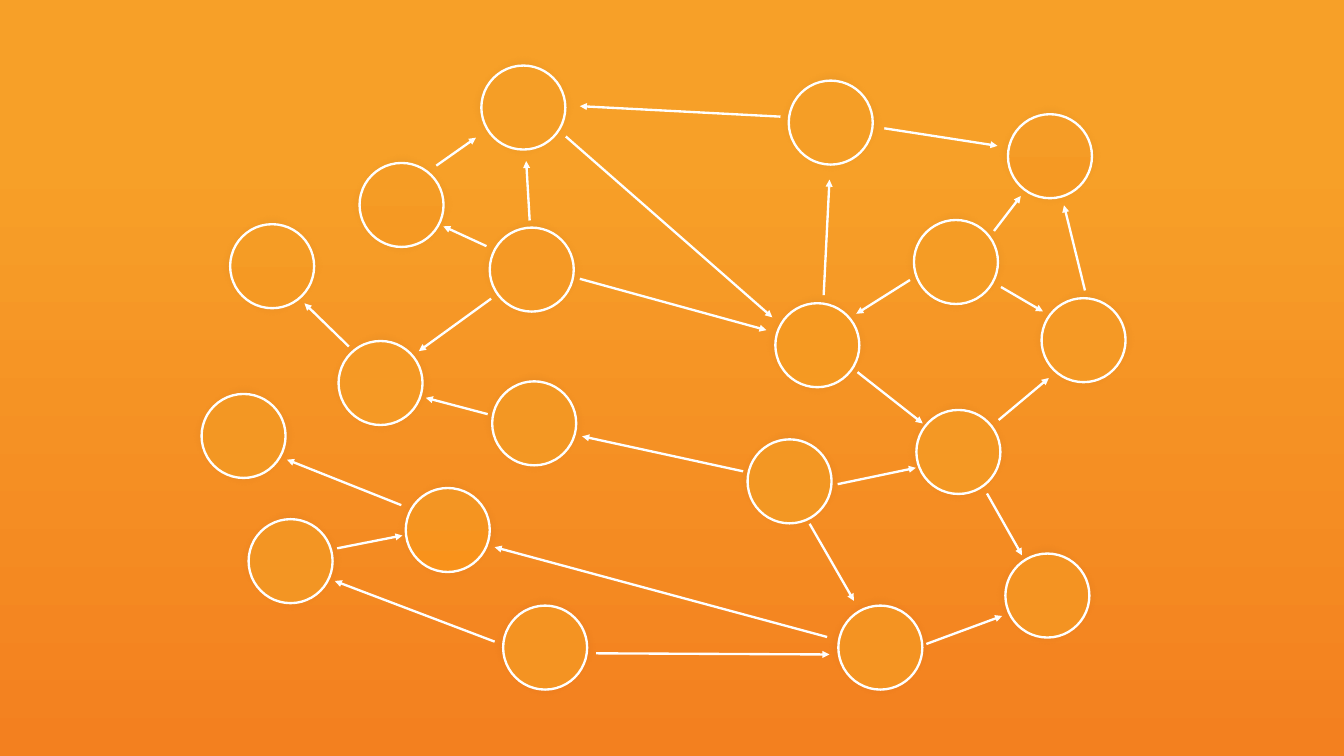
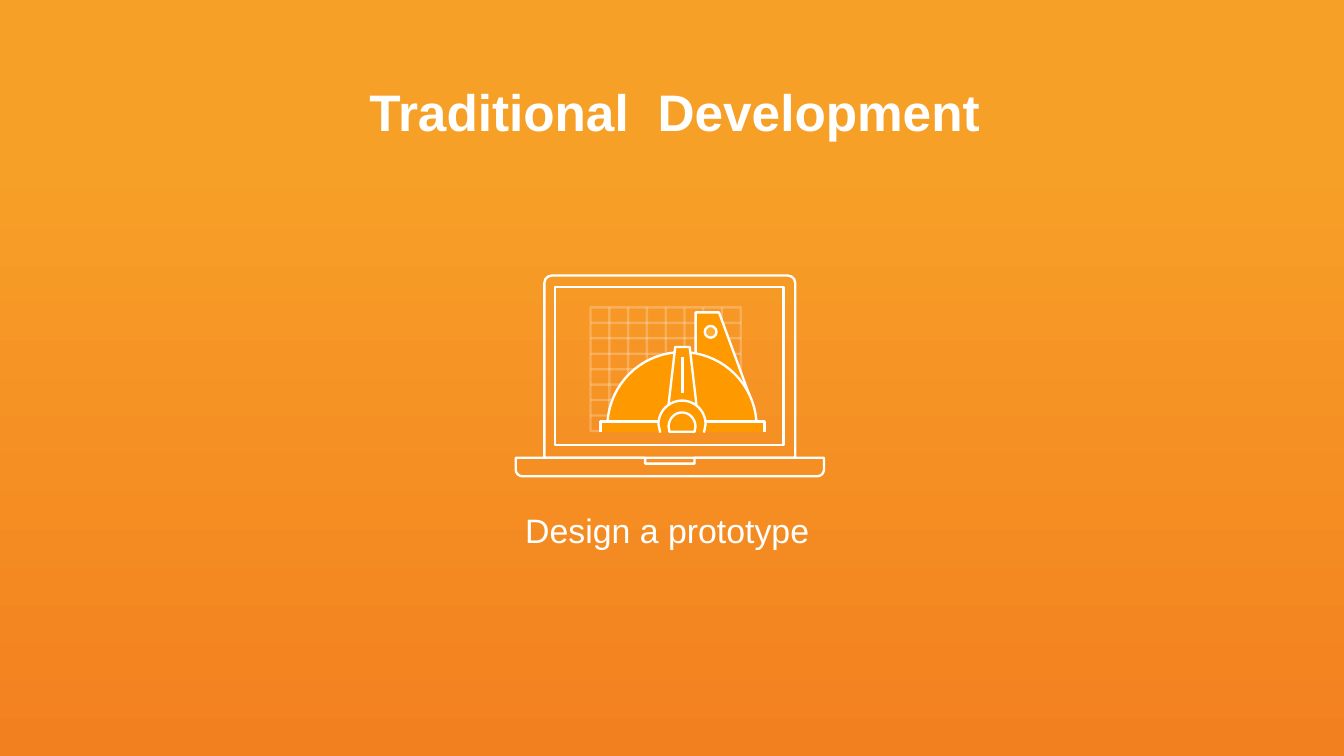
from math import cos, radians, sin

from lxml import etree
from pptx import Presentation
from pptx.dml.color import RGBColor
from pptx.enum.shapes import MSO_CONNECTOR, MSO_SHAPE
from pptx.enum.text import MSO_AUTO_SIZE, PP_ALIGN
from pptx.oxml.ns import qn
from pptx.util import Pt

STRAIGHT = MSO_CONNECTOR.STRAIGHT
OVAL = MSO_SHAPE.OVAL
RECTANGLE = MSO_SHAPE.RECTANGLE
TRAPEZOID = MSO_SHAPE.TRAPEZOID
ROUND_TOP = MSO_SHAPE.ROUND_2_SAME_RECTANGLE
FIT_SHAPE = MSO_AUTO_SIZE.SHAPE_TO_FIT_TEXT
LEFT, CENTER = PP_ALIGN.LEFT, PP_ALIGN.CENTER

COLORS = {"white": "FFFFFF", "halo": "000000", "helmet": "FF9900",
          "sky": "F7A028", "ground": "F3801F"}
BACKGROUND = [(2, COLORS["sky"]), (20, COLORS["sky"]), (100, COLORS["ground"])]
TITLE = {"size": Pt(44), "bold": True}
CAPTION = {"size": Pt(29), "bold": False}
LINE_WIDTH = 2
GRID_ALPHA = 24
NODE_SIZE, HALO_SIZE = 72, 98.6
HALO_OFFSET = (-13.3, -14.4)

NODES = [
    (412.6, 56.2, "F59E26", "F59C25"),
    (308.2, 139.7, "F59C25", "F59923"),
    (197.3, 192.2, "F59C25", "F59923"),
    (419.8, 195.1, "F59925", "F49824"),
    (290.2, 292.3, "F59925", "F49824"),
    (421.9, 326.9, "F39723", "F49623"),
    (172.8, 337.7, "F39723", "F49623"),
    (213.1, 445, "F39523", "F49322"),
    (347.8, 418.3, "F39523", "F9921B"),
    (431.3, 519.1, "F49322", "F49221"),
    (676.1, 69.1, "F59E26", "F59C25"),
    (864, 97.9, "F59C26", "F59923"),
    (783.4, 188.6, "F59C25", "F49B24"),
    (892.8, 255.6, "F59925", "F39723"),
    (664.6, 259.9, "F59922", "F49824"),
    (785.5, 351.4, "F49824", "F49623"),
    (640.8, 376.6, "F39723", "F39523"),
    (861.8, 474.5, "F49322", "F49221"),
    (718.6, 519.1, "F49322", "F49324"),
]

ARROWS = [
    (497, 239, 657, 283), (669, 100, 497, 91), (706, 253, 711, 154),
    (758, 110, 855, 125), (852, 198, 875, 168), (780, 240, 734, 269),
    (735, 319, 791, 363), (858, 246, 894, 267), (856, 360, 899, 324),
    (930, 249, 912, 176), (846, 423, 876, 476), (485, 117, 662, 272),
    (637, 404, 499, 374), (718, 415, 785, 401), (694, 449, 732, 515),
    (794, 552, 859, 528), (511, 560, 711, 561), (424, 550, 287, 498),
    (709, 546, 424, 469), (344, 433, 246, 394), (418, 355, 365, 341),
    (299, 297, 261, 260), (417, 211, 380, 194), (421, 256, 359, 301),
    (454, 189, 451, 138), (374, 142, 408, 118), (289, 470, 345, 459),
]


def arc(center_x, center_y, radius_x, radius_y, start, end, steps=36):
    angles = [radians(start + (end - start) * step / steps) for step in range(steps + 1)]
    return [(center_x + radius_x * cos(angle), center_y + radius_y * sin(angle))
            for angle in angles]


def set_gradient(fill, element, stops):
    fill.gradient()
    fill.gradient_angle = 270
    stop_list = next(element.iter(qn("a:gsLst")))
    for stop in list(stop_list):
        stop_list.remove(stop)
    for position, color in stops:
        stop = etree.SubElement(stop_list, qn("a:gs"), pos=str(position * 1000))
        etree.SubElement(stop, qn("a:srgbClr"), val=color)


def set_alpha(parent, percent):
    color = next(parent.iter(qn("a:srgbClr")))
    etree.SubElement(color, qn("a:alpha"), val=str(percent * 1000))


class Deck:
    def __init__(self):
        self.presentation = Presentation()
        self.presentation.slide_width = Pt(1152)
        self.presentation.slide_height = Pt(648)
        master = self.presentation.slide_master
        set_gradient(master.background.fill, master.element, BACKGROUND)
        self.slide = None

    def add_slide(self):
        self.slide = self.presentation.slides.add_slide(self.presentation.slide_layouts[6])

    def outline(self, item, alpha=None):
        item.line.color.rgb = RGBColor.from_string(COLORS["white"])
        item.line.width = Pt(LINE_WIDTH)
        if alpha:
            set_alpha(next(item.element.iter(qn("a:ln"))), alpha)

    def paint(self, shape, color=None, alpha=None):
        if color is None:
            shape.fill.background()
            return
        shape.fill.solid()
        shape.fill.fore_color.rgb = RGBColor.from_string(COLORS[color])
        if alpha:
            set_alpha(shape.element.spPr.find(qn("a:solidFill")), alpha)

    def shape(self, kind, left, top, width, height, color=None, alpha=None, adjustment=None):
        shape = self.slide.shapes.add_shape(kind, Pt(left), Pt(top), Pt(width), Pt(height))
        if adjustment is not None:
            shape.adjustments[0] = adjustment
        self.paint(shape, color, alpha)
        self.outline(shape)
        shape.shadow.inherit = False
        return shape

    def node(self, left, top, upper, lower):
        offset_x, offset_y = HALO_OFFSET
        halo = self.shape(OVAL, left + offset_x, top + offset_y,
                          HALO_SIZE, HALO_SIZE, "halo", 10)
        halo.line.fill.background()
        effects = halo.element.spPr.find(qn("a:effectLst"))
        etree.SubElement(effects, qn("a:softEdge"), rad=str(Pt(12.5)))
        circle = self.shape(OVAL, left, top, NODE_SIZE, NODE_SIZE)
        set_gradient(circle.fill, circle.element, [(2, upper), (100, lower)])

    def line(self, start_x, start_y, end_x, end_y, alpha=None, arrow=False):
        connector = self.slide.shapes.add_connector(
            STRAIGHT, Pt(start_x), Pt(start_y), Pt(end_x), Pt(end_y))
        self.outline(connector, alpha)
        if arrow:
            line = next(connector.element.iter(qn("a:ln")))
            etree.SubElement(line, qn("a:tailEnd"), type="triangle")
        etree.SubElement(connector.element.spPr, qn("a:effectLst"))

    def outline_path(self, points, color=None, alpha=None, close=False):
        vertices = [(Pt(x), Pt(y)) for x, y in points]
        builder = self.slide.shapes.build_freeform(*vertices[0], scale=1.0)
        builder.add_line_segments(vertices[1:], close=close)
        shape = builder.convert_to_shape()
        self.paint(shape, color)
        self.outline(shape, alpha)
        shape.shadow.inherit = False

    def text(self, words, left, top, width, height, style, alignment=LEFT, wrap=False):
        box = self.slide.shapes.add_textbox(Pt(left), Pt(top), Pt(width), Pt(height))
        frame = box.text_frame
        frame.word_wrap = wrap
        frame.auto_size = FIT_SHAPE
        paragraph = frame.paragraphs[0]
        paragraph.alignment = alignment
        run = paragraph.add_run()
        run.text = words
        for name, value in {"name": "Arial", **style}.items():
            setattr(run.font, name, value)
        run.font.color.rgb = RGBColor.from_string(COLORS["white"])


def draw_network(deck):
    deck.add_slide()
    for node in NODES:
        deck.node(*node)
    for arrow in ARROWS:
        deck.line(*arrow, arrow=True)


def draw_laptop(deck):
    left, right, top, bottom, radius = 442.1, 706.3, 392.4, 408.2, 5.8
    notch_left, notch_right, notch_bottom = 553, 595.4, 397.4
    deck.shape(ROUND_TOP, 466.6, 236.2, 215, 156.2, adjustment=0.04)
    deck.shape(RECTANGLE, 475.9, 246.2, 195.8, 135.4)
    deck.outline_path(
        [(notch_right, top), (notch_right, notch_bottom),
         (notch_left, notch_bottom), (notch_left, top), (left, top)]
        + arc(left + radius, bottom - radius, radius, radius, 180, 90, 8)
        + arc(right - radius, bottom - radius, radius, radius, 90, 0, 8)
        + [(right, top)], close=True)
    deck.line(notch_left, top, notch_right, top)


def draw_grid(deck):
    left, top, right, bottom = 506.2, 263.5, 635, 369.4
    column_step, row_step = (right - left) / 8, (bottom - top) / 8
    row_ends = [right, right, right, 565.9, 545.8, 531.4]
    column_ends = [335.5, 325.4, 312.5, 311, 312.5, 324]
    deck.outline_path([(513.4, bottom), (left, bottom), (left, top),
                       (right, top), (right, 324)], alpha=GRID_ALPHA)
    for row, end in enumerate(row_ends, 1):
        y = top + row * row_step
        deck.line(left, y, end, y, GRID_ALPHA)
    for column, end in enumerate(column_ends, 2):
        x = left + column * column_step
        deck.line(x, top, x, end, GRID_ALPHA)
    corner_x, corner_y = left + column_step, top + 7 * row_step
    deck.outline_path([(corner_x, top), (corner_x, corner_y), (left, corner_y)],
                      alpha=GRID_ALPHA)
    deck.line(610.6, top + 4 * row_step, right, top + 4 * row_step, GRID_ALPHA)


def draw_helmet(deck):
    middle = 584.6
    ruler = [(616.3, 267.8), (596.2, 267.8), (596.2, 353.5), (645.1, 346.3)]
    dome = arc(middle, 365.8, 64, 64, 180, 360) + [(648.6, 368.6), (520.6, 368.6)]
    brim = [(514.8, 370.1), (514.8, 361.4), (655.2, 361.4), (655.2, 370.1)]
    ear_cup = ([(565.9, 370.8)] + arc(middle, 363.6, 20.2, 20.2, 180, 360)
               + [(603.4, 370.8)])
    ear_core = (arc(middle, 365.8, 11.5, 12.2, 180, 360)
                + [(595.4, 370.1), (573.8, 370.1)])
    deck.outline_path(ruler, "helmet", close=True)
    deck.outline_path(dome, "helmet", close=True)
    deck.outline_path(brim, "helmet")
    deck.shape(TRAPEZOID, 573.1, 297.4, 23.8, 49, "helmet", adjustment=0.24)
    deck.line(middle + 0.4, 306, middle + 0.4, 337)
    deck.shape(OVAL, 604.1, 279.4, 10.1, 10.1, "white", 20)
    deck.outline_path(ear_cup, "helmet")
    deck.outline_path(ear_core, "helmet", close=True)


def draw_prototype(deck):
    deck.add_slide()
    deck.text("Design a prototype", 323.3, 433.4, 497.5, 42.5, CAPTION, CENTER, True)
    deck.text("Traditional", 309.6, 64.8, 257.8, 60.5, TITLE)
    deck.text("Development", 556.6, 64.8, 295.2, 60.5, TITLE)
    draw_laptop(deck)
    draw_grid(deck)
    draw_helmet(deck)


def main():
    deck = Deck()
    draw_network(deck)
    draw_prototype(deck)
    deck.presentation.save("out.pptx")


if __name__ == "__main__":
    main()
